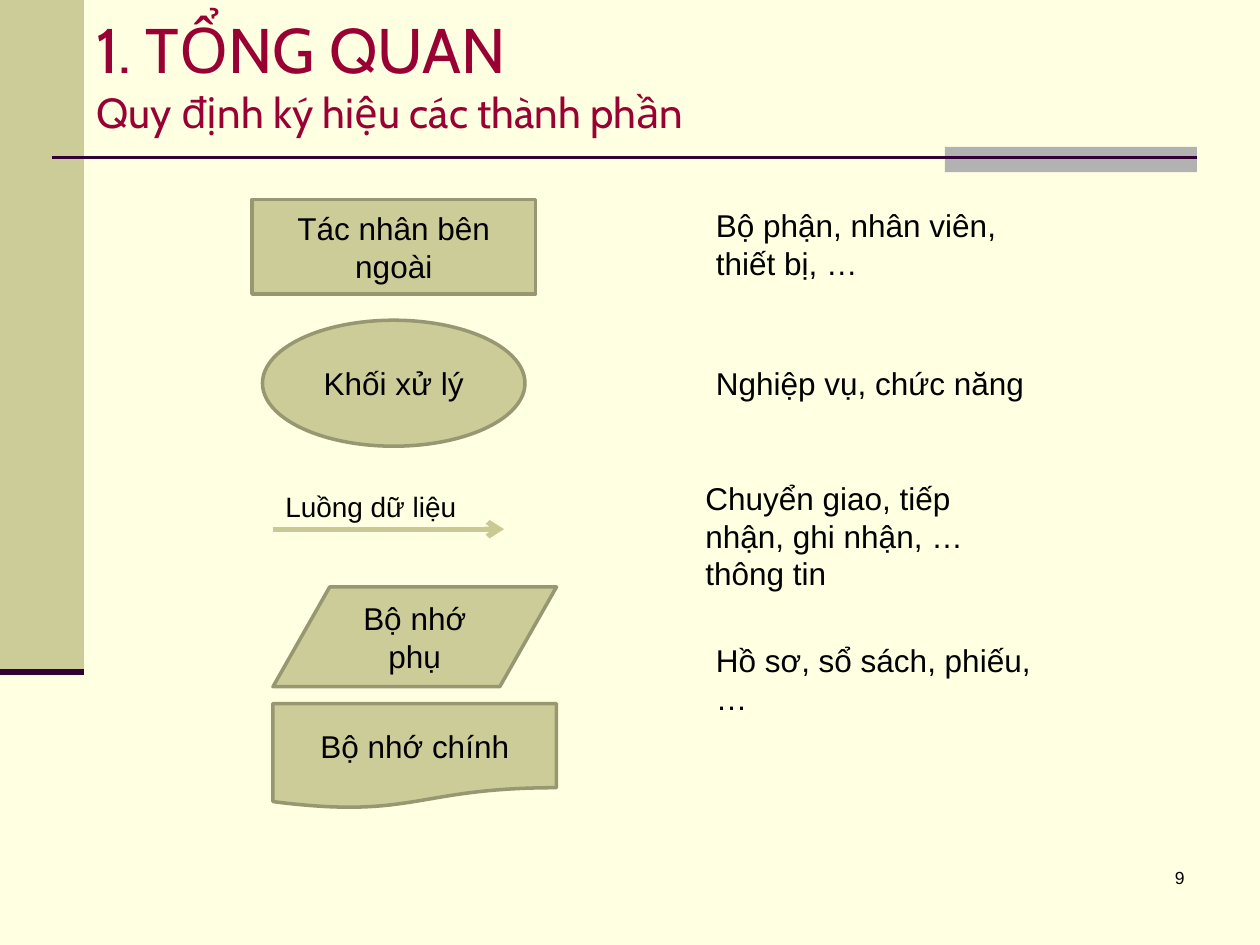
from dataclasses import dataclass

from lxml import etree
from pptx import Presentation
from pptx import util as u
from pptx.dml.color import RGBColor
from pptx.enum import shapes, text
from pptx.oxml.ns import qn


@dataclass(frozen=True)
class Theme:
    """Colours, fonts, type sizes and the grid cell of the slide."""
    paper: str = "FFFFE1"
    khaki: str = "CCCC99"
    edge: str = "979771"
    flow: str = "C9C994"
    rule: str = "330033"
    grey: str = "B2B2B2"
    heading: str = "990033"
    ink: str = "000000"
    head_font: str = "Cabin"
    body_font: str = "Arial"
    title: int = 36
    subtitle: int = 24
    body: int = 18
    label: int = 16
    number: int = 10
    cell: float = 1 / 12


T = Theme()
KIND = shapes.MSO_SHAPE
ALIGN = text.PP_ALIGN
ANCHOR = text.MSO_ANCHOR


def cells(*counts):
    """Turn counts of grid columns or rows into lengths."""
    return [u.Inches(n * T.cell) for n in counts]


def rgb(color):
    """Return the colour object for a hex string."""
    return RGBColor.from_string(color)


def write(sp, *lines, font=T.body_font, color=T.ink, align=ALIGN.LEFT, anchor=ANCHOR.TOP):
    """Write (text, size) lines as one paragraph with line breaks."""
    tf = sp.text_frame
    tf.word_wrap = True
    tf.vertical_anchor = anchor
    p = tf.paragraphs[0]
    p.alignment = align
    for i, (words, size) in enumerate(lines):
        if i:
            p.add_line_break()
        r = p.add_run()
        r.text = words
        r.font.name = font
        r.font.size = u.Pt(size)
        r.font.color.rgb = rgb(color)


def add_text(s, box, *lines, **fmt):
    """Add a text box on the grid."""
    write(s.shapes.add_textbox(*cells(*box)), *lines, **fmt)


def add_block(s, kind, box, fill, edge=None):
    """Add a filled preset shape on the grid."""
    sp = s.shapes.add_shape(kind, *cells(*box))
    sp.shadow.inherit = False
    sp.fill.solid()
    sp.fill.fore_color.rgb = rgb(fill)
    if edge:
        sp.line.color.rgb = rgb(edge)
        sp.line.width = u.Pt(2)
    else:
        sp.line.fill.background()
    return sp


def add_symbol(s, kind, box, words):
    """Add a diagram symbol with its centred name."""
    sp = add_block(s, kind, box, T.khaki, T.edge)
    write(sp, (words, T.body), align=ALIGN.CENTER, anchor=ANCHOR.MIDDLE)


def add_rule(s, left, right, row, color, width, arrow=False):
    """Add a horizontal line, with an arrowhead at its right end if asked."""
    cx = s.shapes.add_connector(shapes.MSO_CONNECTOR.STRAIGHT, *cells(left, row, right, row))
    cx.line.color.rgb = rgb(color)
    cx.line.width = u.Pt(width)
    if arrow:
        etree.SubElement(cx.line._get_or_add_ln(), qn("a:tailEnd"), type="arrow")
    etree.SubElement(cx._element.spPr, qn("a:effectLst"))


def add_frame(s):
    """Add the side band, the rules and the title."""
    add_block(s, KIND.RECTANGLE, (0, 0, 8, 64), T.khaki)
    add_block(s, KIND.RECTANGLE, (90, 14, 24, 2.4), T.grey)
    add_rule(s, 5, 114, 15, T.rule, 1.5)
    add_rule(s, 0, 8, 64, T.rule, 3.5)
    add_text(s, (8, 0, 112, 14), ("1. TỔNG QUAN", T.title),
             ("Quy định ký hiệu các thành phần", T.subtitle),
             font=T.head_font, color=T.heading, anchor=ANCHOR.MIDDLE)


def main():
    """Build the slide and save it."""
    prs = Presentation()
    prs.slide_width, prs.slide_height = cells(120, 90)
    s = prs.slides.add_slide(prs.slide_layouts[6])
    s.background.fill.solid()
    s.background.fill.fore_color.rgb = rgb(T.paper)
    add_frame(s)

    for kind, box, words in (
        (KIND.RECTANGLE, (24, 19, 27, 9), "Tác nhân bên ngoài"),
        (KIND.OVAL, (25, 30.5, 25, 12), "Khối xử lý"),
        (KIND.FLOWCHART_DATA, (26, 55.9, 27, 9.5), "Bộ nhớ phụ"),
        (KIND.FLOWCHART_DOCUMENT, (26, 67, 27, 10), "Bộ nhớ chính"),
    ):
        add_symbol(s, kind, box, words)
    add_rule(s, 26, 48, 50.4, T.flow, 3, arrow=True)
    add_text(s, (26, 46, 19, 4.4), ("Luồng dữ liệu", T.label))

    for left, top, height, words in (
        (67, 19, 8.5, "Bộ phận, nhân viên, thiết bị, …"),
        (67, 34.1, 4.8, "Nghiệp vụ, chức năng"),
        (66, 45, 12.1, "Chuyển giao, tiếp nhận, ghi nhận, … thông tin"),
        (67, 60.5, 8.5, "Hồ sơ, sổ sách, phiếu, …"),
    ):
        add_text(s, (left, top, 33, height), (words, T.body))
    add_text(s, (89, 82, 25, 6), ("9", T.number), align=ALIGN.RIGHT)
    prs.save("out.pptx")


if __name__ == "__main__":
    main()
